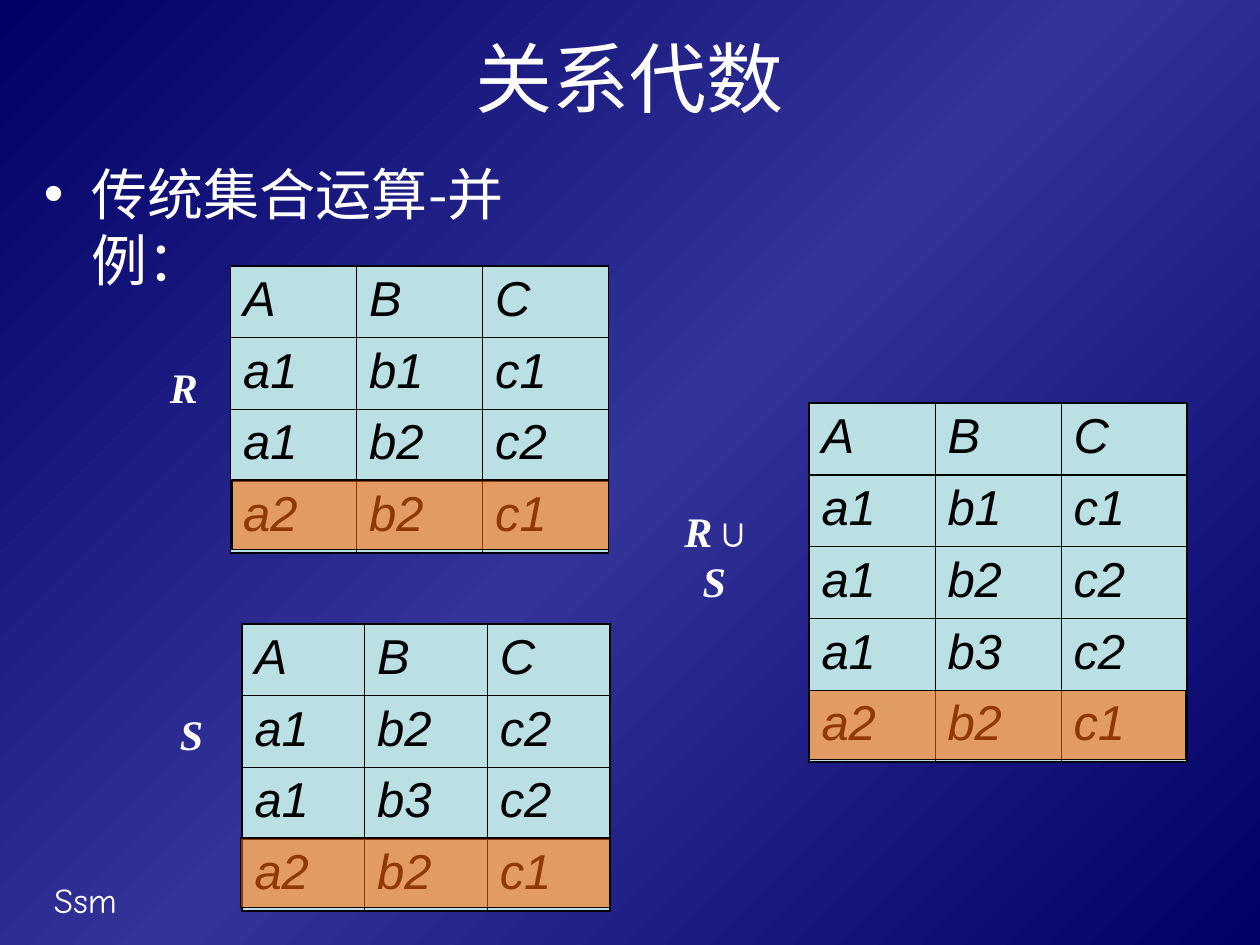
"""Builds a relational algebra slide showing the union of two relations."""
from copy import deepcopy

from lxml.etree import SubElement
from pptx import Presentation
from pptx.dml.color import RGBColor
from pptx.enum.shapes import MSO_SHAPE
from pptx.enum.text import MSO_ANCHOR, PP_ALIGN
from pptx.oxml.ns import qn
from pptx.util import Inches, Pt


def color(value):
    return RGBColor.from_string(value)


def apply(target, values):
    for name, value in values.items():
        setattr(target, name, value)


class SlideBuilder:
    font_title = {"name": "Noto Sans CJK SC", "size": Pt(44)}
    font_body = {"name": "Noto Sans CJK SC", "size": Pt(32)}
    font_footer = {"name": "Comic Neue", "size": Pt(20)}
    font_cell = {"name": "Arial", "size": Pt(28), "italic": True}
    font_label = {"name": "Times New Roman", "size": Pt(24), "bold": True, "italic": True}
    frame_label = {"word_wrap": False, "vertical_anchor": MSO_ANCHOR.MIDDLE}
    white, black, cell_fill, highlight_fill = "FFFFFF", "000000", "BBE0E3", "FF6600"
    thick, thin = 1.08, 0.45
    row_height = 0.57

    def __init__(self, presentation):
        self.slide = presentation.slides.add_slide(presentation.slide_layouts[5])

    def background(self, colors, angle):
        fill = self.slide.background.fill
        fill.gradient()
        fill.gradient_angle = angle
        stop_list = self.slide.element.xpath(".//a:gsLst")[0]
        while len(stop_list) < len(colors):
            stop_list.append(deepcopy(stop_list[0]))
        for index, (stop, value) in enumerate(zip(fill.gradient_stops, colors)):
            stop.position = index / (len(colors) - 1)
            stop.color.rgb = color(value)

    def style_run(self, run, font, value):
        apply(run.font, font)
        run.font.color.rgb = color(value)
        SubElement(run.font._element, qn("a:ea"), typeface=font["name"])

    def title(self, text, left, top, width, height):
        shape = self.slide.shapes.title
        apply(shape, {"left": Inches(left), "top": Inches(top),
                      "width": Inches(width), "height": Inches(height)})
        shape.text_frame.vertical_anchor = MSO_ANCHOR.MIDDLE
        paragraph = shape.text_frame.paragraphs[0]
        paragraph.alignment = PP_ALIGN.CENTER
        paragraph.text = text
        self.style_run(paragraph.runs[0], self.font_title, self.white)

    def text(self, text, left, top, width, height, font):
        shape = self.slide.shapes.add_textbox(*map(Inches, (left, top, width, height)))
        shape.text_frame.word_wrap = True
        paragraph = shape.text_frame.paragraphs[0]
        paragraph.text = text
        for run in paragraph.runs:
            self.style_run(run, font, self.white)
        return shape

    def bullet(self, text, left, top, width, height):
        shape = self.text(text, left, top, width, height, self.font_body)
        shape.text_frame.margin_top = Inches(0.1)
        paragraph = shape.text_frame.paragraphs[0]
        paragraph.line_spacing = Pt(38)
        properties = paragraph._p.get_or_add_pPr()
        properties.set("marL", str(Inches(0.38)))
        properties.set("indent", str(-Inches(0.38)))
        bullet_color = SubElement(properties, qn("a:buClr"))
        SubElement(bullet_color, qn("a:srgbClr"), val=self.white)
        SubElement(properties, qn("a:buFont"), typeface="Arial")
        SubElement(properties, qn("a:buChar"), char="•")

    def label(self, parts, left, top, width):
        shape = self.slide.shapes.add_textbox(*map(Inches, (left, top, width, 0.92)))
        apply(shape.text_frame, self.frame_label)
        paragraph = shape.text_frame.paragraphs[0]
        paragraph.alignment = PP_ALIGN.CENTER
        for part in parts:
            run = paragraph.add_run()
            run.text = part
            self.style_run(run, self.font_label | {"italic": part != "∪"}, self.white)

    def border(self, cell, side, width):
        properties = cell._tc.get_or_add_tcPr()
        line = SubElement(properties, qn(f"a:ln{side}"), w=str(Pt(width)))
        fill = SubElement(line, qn("a:solidFill"))
        SubElement(fill, qn("a:srgbClr"), val=self.black)

    def table(self, rows, left, top, width):
        row_count, column_count = len(rows), len(rows[0])
        frame = self.slide.shapes.add_table(
            row_count, column_count, Inches(left), Inches(top),
            Inches(width), Inches(self.row_height * row_count))
        table = frame.table
        apply(table, {"first_row": False, "horz_banding": False})
        for row_index, values in enumerate(rows):
            table.rows[row_index].height = Inches(self.row_height)
            for column_index, value in enumerate(values):
                cell = table.cell(row_index, column_index)
                thick_sides = {"L": column_index == 0,
                               "R": column_index == column_count - 1,
                               "T": row_index in (0, 1),
                               "B": row_index in (0, row_count - 1)}
                for side, is_thick in thick_sides.items():
                    self.border(cell, side, self.thick if is_thick else self.thin)
                cell.fill.solid()
                cell.fill.fore_color.rgb = color(self.cell_fill)
                paragraph = cell.text_frame.paragraphs[0]
                paragraph.text = value
                self.style_run(paragraph.runs[0], self.font_cell, self.black)

    def highlight(self, left, top, width):
        shape = self.slide.shapes.add_shape(
            MSO_SHAPE.RECTANGLE, *map(Inches, (left, top, width, 0.55)))
        shape.shadow.inherit = False
        shape.fill.solid()
        shape.fill.fore_color.rgb = color(self.highlight_fill)
        fill_color = shape._element.spPr.find(qn("a:solidFill"))[0]
        SubElement(fill_color, qn("a:alpha"), val="56000")
        shape.line.color.rgb = color(self.black)
        shape.line.width = Pt(0.75)


def main():
    presentation = Presentation()
    apply(presentation, {"slide_width": Inches(10), "slide_height": Inches(7.5)})
    builder = SlideBuilder(presentation)
    builder.background(["000066", "333399", "000066"], 315)
    builder.text("Ssm", 0.33, 6.92, 2.08, 0.44, builder.font_footer)
    builder.title("关系代数", 0.5, 0.17, 9, 0.87)
    builder.bullet("传统集合运算-并\v例：", 0.25, 1.17, 9.58, 5.75)

    header, shared = ["A", "B", "C"], ["a2", "b2", "c1"]
    first, second, third = ["a1", "b1", "c1"], ["a1", "b2", "c2"], ["a1", "b3", "c2"]
    builder.table([header, first, second, shared], 1.83, 2.11, 3)
    builder.table([header, first, second, third, shared], 6.42, 3.2, 3)
    builder.table([header, second, third, shared], 1.92, 4.95, 2.92)

    builder.label(["R"], 1.25, 2.61, 0.33)
    builder.label(["S"], 1.33, 5.36, 0.33)
    builder.label(["R", "∪", "S "], 5.25, 3.95, 0.92)

    for left, top, width in [(1.84, 3.81, 2.99), (1.91, 6.65, 2.93), (6.42, 5.48, 2.99)]:
        builder.highlight(left, top, width)
    presentation.save("out.pptx")


if __name__ == "__main__":
    main()
